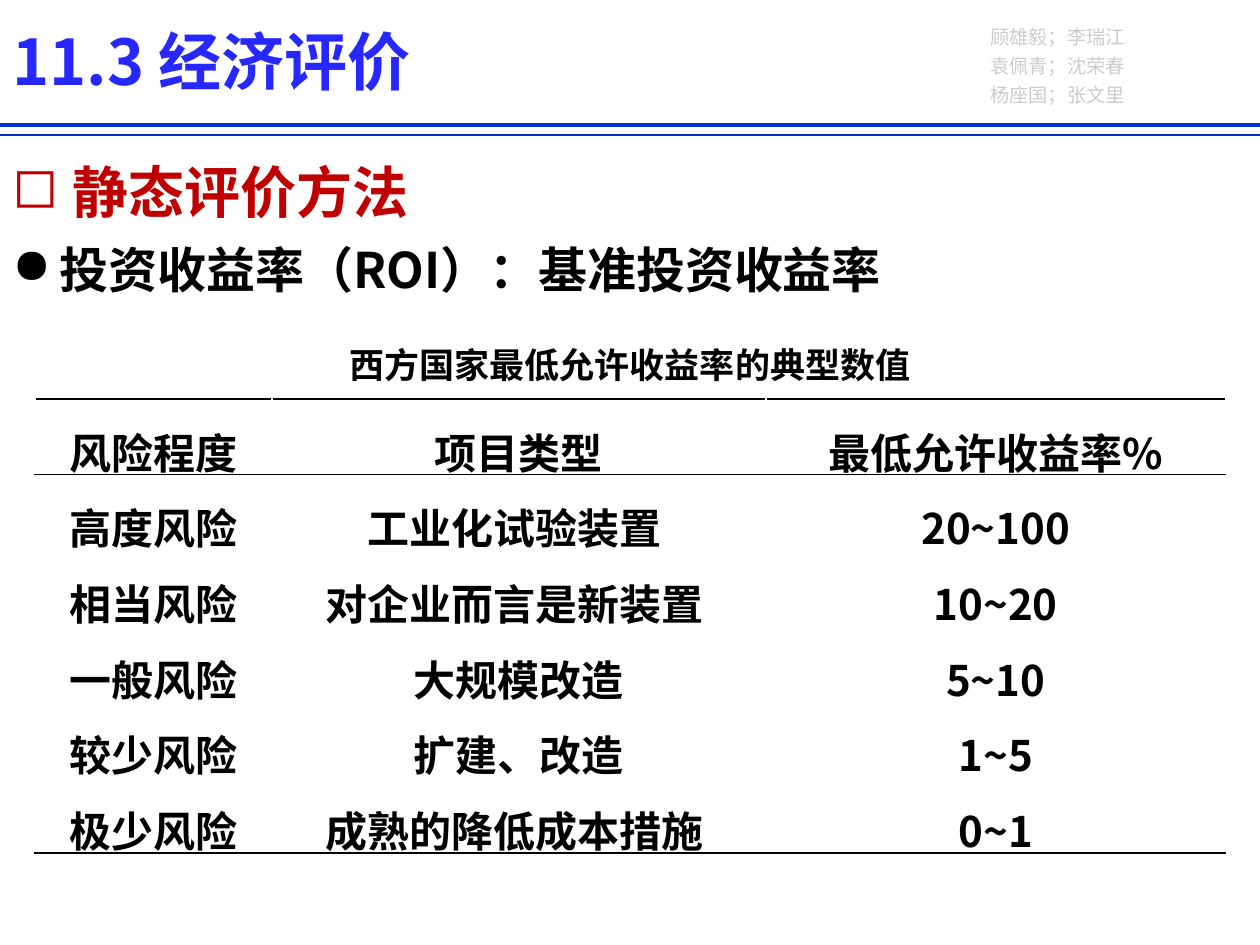
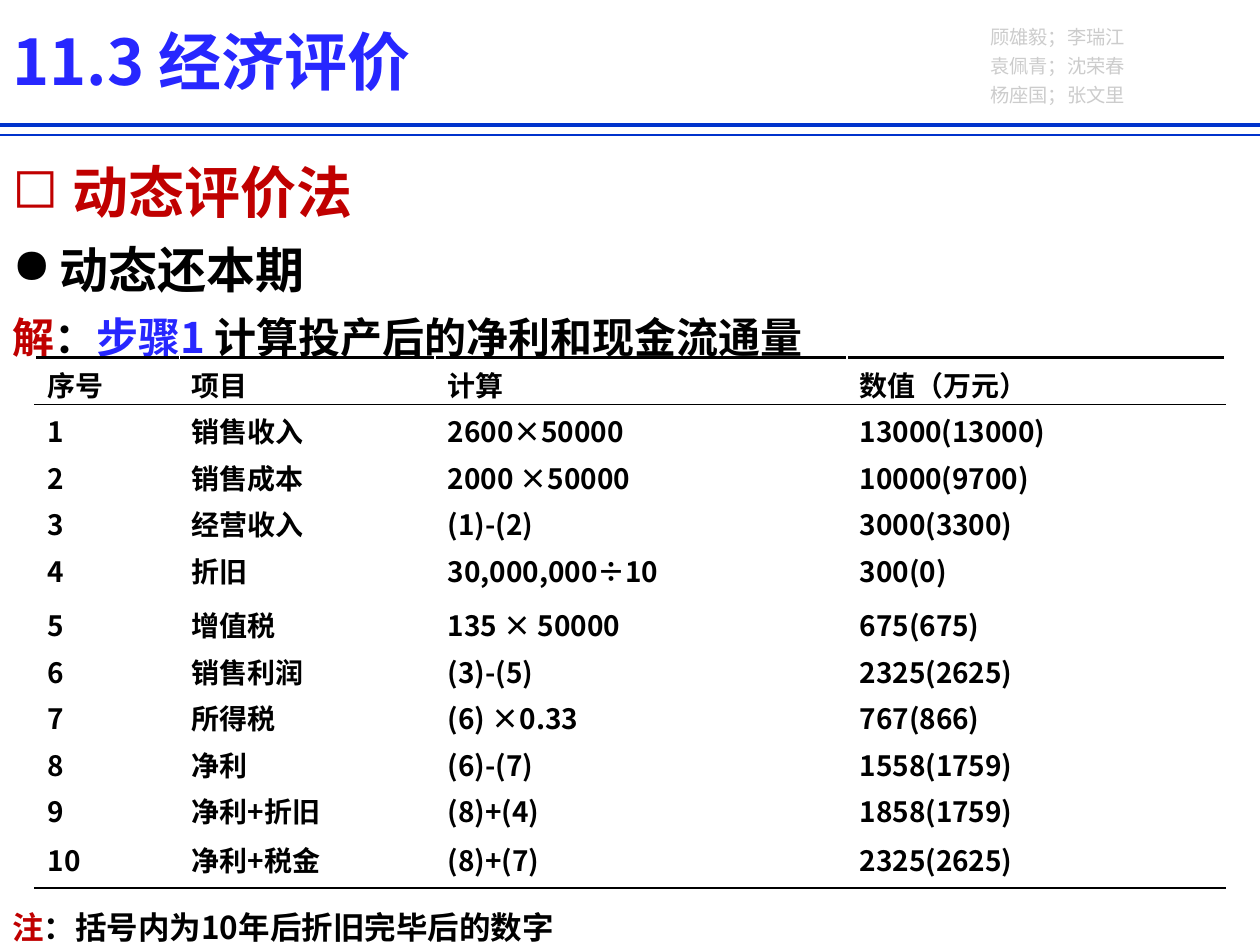
"""Build two slides on economic evaluation: static and dynamic methods."""
from lxml import etree
from pptx import Presentation
from pptx.dml.color import RGBColor
from pptx.enum.shapes import MSO_CONNECTOR
from pptx.enum.text import MSO_ANCHOR, MSO_AUTO_SIZE, PP_ALIGN
from pptx.oxml.ns import qn
from pptx.util import Pt

LEFT, CENTER, JUSTIFY = PP_ALIGN.LEFT, PP_ALIGN.CENTER, PP_ALIGN.JUSTIFY
MIDDLE = MSO_ANCHOR.MIDDLE
GROW = MSO_AUTO_SIZE.SHAPE_TO_FIT_TEXT
STRAIGHT = MSO_CONNECTOR.STRAIGHT
FONT = "Noto Sans CJK SC"
BLACK, RED, BLUE, RULE_BLUE, GREY = "000000", "C00000", "2727FF", "0033CC", "CCCCCC"


def write(paragraph, pieces, size, align=LEFT, spacing=None, bullet=None, bold=True):
    """Fill a paragraph with (text, colour) pieces."""
    paragraph.alignment = align
    if spacing:
        paragraph.line_spacing = spacing
    if bullet:
        properties = paragraph._p.get_or_add_pPr()
        properties.set("marL", str(Pt(27)))
        properties.set("indent", str(Pt(-27)))
        etree.SubElement(properties, qn("a:buChar")).set("char", bullet)
    for text, colour in pieces:
        run = paragraph.add_run()
        run.text = text
        run.font.size = Pt(size)
        run.font.bold = bold
        run.font.color.rgb = RGBColor.from_string(colour)
        run.font.name = FONT
        etree.SubElement(run._r.get_or_add_rPr(), qn("a:ea")).set("typeface", FONT)


def draw_border(cell, side, width):
    """Draw a black line on one side of a cell."""
    line = etree.SubElement(cell._tc.get_or_add_tcPr(), qn(side), w=str(Pt(width)))
    fill = etree.SubElement(line, qn("a:solidFill"))
    etree.SubElement(fill, qn("a:srgbClr")).set("val", BLACK)


title = ((0, 9.4, 720, 51), [dict(pieces=[("11.3 经济评价", BLUE)], size=36)])
authors = ((558.7, 7.9, 102.2, 55.4), [
    dict(pieces=[(pair, GREY)], size=11, align=JUSTIFY, spacing=1.25, bold=False)
    for pair in ("顾雄毅；李瑞江", "袁佩青；沈荣春", "杨座国；张文里")])
section = dict(size=32, align=JUSTIFY, spacing=1.25, bullet="◻")
topic = dict(size=28, align=JUSTIFY, spacing=1.25, bullet="●")

static_method = dict(
    texts=[
        ((0, 77, 711.4, 94.3), [
            dict(section, pieces=[(" 静态评价方法", RED)]),
            dict(topic, pieces=[("投资收益率（ROI）：基准投资收益率", BLACK)])]),
        ((0, 193, 720, 31.7), [
            dict(pieces=[("西方国家最低允许收益率的典型数值", BLACK)], size=20, align=CENTER)])],
    top=228, widths=(135.4, 282.2, 262.8), heights=[29.5] * 6,
    header_line=1, cell_style=dict(size=24, align=CENTER, spacing=1.25),
    rows=[
        ("风险程度", "项目类型", "最低允许收益率%"),
        ("高度风险", "工业化试验装置 ", "20~100"),
        ("相当风险", "对企业而言是新装置 ", "10~20"),
        ("一般风险", "大规模改造", "5~10"),
        ("较少风险", "扩建、改造", "1~5"),
        ("极少风险", "成熟的降低成本措施 ", "0~1")])

dynamic_method = dict(
    texts=[
        ((0, 77, 711.4, 131), [
            dict(section, pieces=[(" 动态评价法", RED)]),
            dict(topic, pieces=[("动态还本期", BLACK)]),
            dict(pieces=[("解", RED), ("：", BLACK), ("步骤1 ", BLUE),
                         ("计算投产后的净利和现金流通量", BLACK)],
                 size=24, align=JUSTIFY, spacing=1.25)]),
        ((0, 509.8, 711.4, 32.4), [
            dict(pieces=[("注", RED), ("：括号内为10年后折旧完毕后的数字", BLACK)],
                 size=18, spacing=1.25)])],
    top=204.3, widths=(82.5, 146.2, 235.4, 216),
    heights=[26.6] * 4 + [31] + [26.6] * 5 + [33],
    header_line=0.5, cell_style=dict(size=16),
    rows=[
        ("序号", "项目", "计算", "数值（万元）"),
        ("1", "销售收入", "2600×50000", "13000(13000)"),
        ("2", "销售成本", "2000 ×50000", "10000(9700)"),
        ("3", "经营收入", "(1)-(2)", "3000(3300)"),
        ("4", "折旧", "30,000,000÷10", "300(0)"),
        ("5", "增值税", "135 × 50000", "675(675)"),
        ("6", "销售利润", "(3)-(5)", "2325(2625)"),
        ("7", "所得税", "(6) ×0.33", "767(866)"),
        ("8", "净利", "(6)-(7)", "1558(1759)"),
        ("9", "净利+折旧", "(8)+(4)", "1858(1759)"),
        ("10", "净利+税金", "(8)+(7)", "2325(2625)")])

presentation = Presentation()
presentation.slide_width, presentation.slide_height = Pt(720), Pt(540)

for method in (static_method, dynamic_method):
    slide = presentation.slides.add_slide(presentation.slide_layouts[6])

    for y, width in ((71.3, 2.25), (77, 1)):
        rule = slide.shapes.add_connector(STRAIGHT, Pt(0), Pt(y), Pt(720), Pt(y))
        rule.line.color.rgb = RGBColor.from_string(RULE_BLUE)
        rule.line.width = Pt(width)
        etree.SubElement(rule._element.spPr, qn("a:effectLst"))

    for place, paragraphs in [authors, title] + method["texts"]:
        frame = slide.shapes.add_textbox(*map(Pt, place)).text_frame
        frame.word_wrap = True
        frame.auto_size = GROW
        for index, content in enumerate(paragraphs):
            write(frame.add_paragraph() if index else frame.paragraphs[0], **content)

    rows, widths, heights = method["rows"], method["widths"], method["heights"]
    table = slide.shapes.add_table(
        len(rows), len(widths), Pt(20), Pt(method["top"]),
        Pt(sum(widths)), Pt(sum(heights))).table
    table.first_row = table.horz_banding = False
    for column, width in zip(table.columns, widths):
        column.width = Pt(width)
    for r, values in enumerate(rows):
        table.rows[r].height = Pt(heights[r])
        top_line = {0: 1.5, 1: method["header_line"]}.get(r)
        bottom_line = {0: method["header_line"], len(rows) - 1: 1.5}.get(r)
        for c, value in enumerate(values):
            cell = table.cell(r, c)
            cell.vertical_anchor = MIDDLE
            if top_line:
                draw_border(cell, "a:lnT", top_line)
            if bottom_line:
                draw_border(cell, "a:lnB", bottom_line)
            cell.fill.solid()
            cell.fill.fore_color.rgb = RGBColor.from_string("FFFFFF")
            write(cell.text_frame.paragraphs[0], [(value, BLACK)], **method["cell_style"])

presentation.save("out.pptx")
